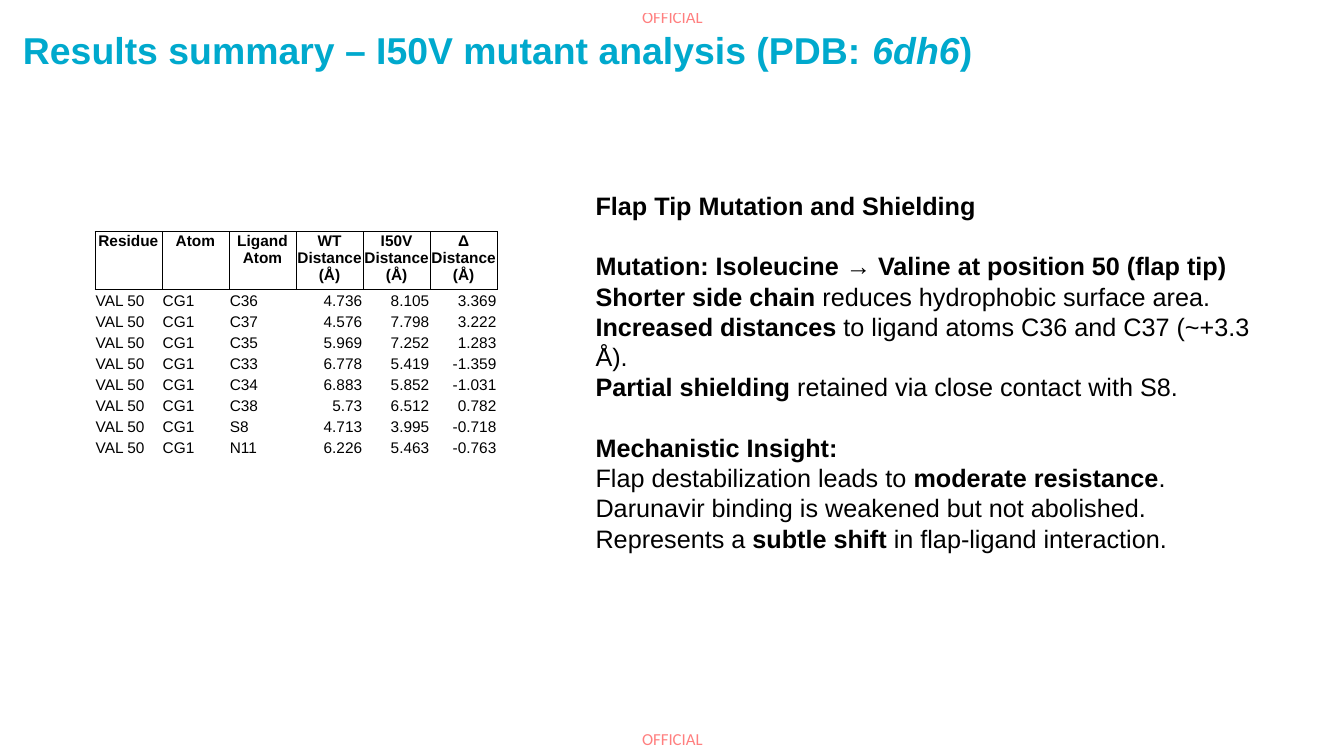
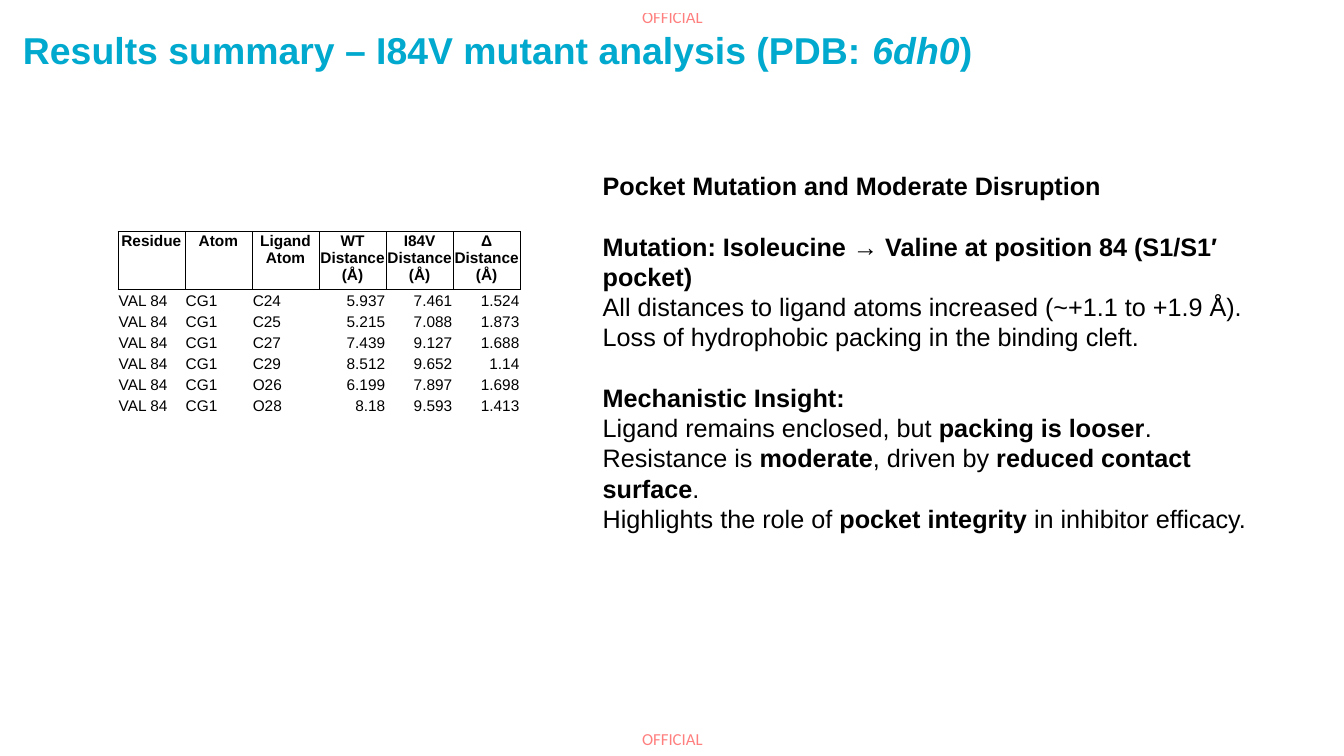
import pptx
import pptx.dml.color
import pptx.enum.text
import pptx.oxml
import pptx.oxml.ns
import pptx.util

Cm, Pt = pptx.util.Cm, pptx.util.Pt
RGBColor = pptx.dml.color.RGBColor
ALIGN = pptx.enum.text.PP_ALIGN
ANCHOR = pptx.enum.text.MSO_ANCHOR
AUTO_SIZE = pptx.enum.text.MSO_AUTO_SIZE

BLACK = RGBColor(0, 0, 0)
TEAL = RGBColor(0x00, 0xA9, 0xCD)
RED = RGBColor(0xFF, 0, 0)

TITLE_FONT = {"name": "Arial", "size": Pt(26.7), "bold": True}
BODY_FONT = {"name": "Arial", "size": Pt(18), "bold": False}
CELL_FONT = {"name": "Arial", "size": Pt(11), "bold": False}
HEAD_FONT = CELL_FONT | {"bold": True}
MARKING_FONT = {"name": "Calibri", "size": Pt(12)}

NO_INSETS = dict.fromkeys(
    ("margin_left", "margin_top", "margin_right", "margin_bottom"), 0)
CELL_INSETS = NO_INSETS | dict.fromkeys(
    ("margin_left", "margin_top", "margin_right"), Cm(0.02))
HEAD_CELL = CELL_INSETS | {"vertical_anchor": ANCHOR.TOP}
BODY_CELL = CELL_INSETS | {"vertical_anchor": ANCHOR.BOTTOM}

MARKING_TOPS = (0.18, 18.36)
TABLE_TOP = 5.84
COL_WIDTH, HEAD_HEIGHT, ROW_HEIGHT = 1.69, 1.44, 0.53
TEXT_COLS = 3
BLANK_LINE = Pt(21.6)

RESULTS = [
    {
        "mutant": "I50V", "pdb": "6dh6", "residue": "VAL 50",
        "table_left": 2.39, "text_at": (14.76, 4.67),
        "distances": [
            ("C36", "4.736", "8.105", "3.369"),
            ("C37", "4.576", "7.798", "3.222"),
            ("C35", "5.969", "7.252", "1.283"),
            ("C33", "6.778", "5.419", "-1.359"),
            ("C34", "6.883", "5.852", "-1.031"),
            ("C38", "5.73", "6.512", "0.782"),
            ("S8", "4.713", "3.995", "-0.718"),
            ("N11", "6.226", "5.463", "-0.763"),
        ],
        "sections": [
            ["*Flap Tip Mutation and Shielding*"],
            ["*Mutation: Isoleucine → Valine at position 50 (flap tip)*",
             "*Shorter side chain* reduces hydrophobic surface area.",
             "*Increased distances* to ligand atoms C36 and C37 (~+3.3 Å).",
             "*Partial shielding* retained via close contact with S8."],
            ["*Mechanistic Insight:*",
             "Flap destabilization leads to *moderate resistance*.",
             "Darunavir binding is weakened but not abolished.",
             "Represents a *subtle shift* in flap-ligand interaction."],
        ],
    },
    {
        "mutant": "I84V", "pdb": "6dh0", "residue": "VAL 84",
        "table_left": 2.97, "text_at": (14.94, 4.17),
        "distances": [
            ("C24", "5.937", "7.461", "1.524"),
            ("C25", "5.215", "7.088", "1.873"),
            ("C27", "7.439", "9.127", "1.688"),
            ("C29", "8.512", "9.652", "1.14"),
            ("O26", "6.199", "7.897", "1.698"),
            ("O28", "8.18", "9.593", "1.413"),
        ],
        "sections": [
            ["*Pocket Mutation and Moderate Disruption*"],
            ["*Mutation: Isoleucine → Valine at position 84 (S1/S1′ pocket)*",
             "All distances to ligand atoms increased (~+1.1 to +1.9 Å).",
             "Loss of hydrophobic packing in the binding cleft."],
            ["*Mechanistic Insight:*",
             "Ligand remains enclosed, but *packing is looser*.",
             "Resistance is *moderate*, driven by *reduced contact surface*.",
             "Highlights the role of *pocket integrity* in inhibitor efficacy."],
        ],
    },
]


def apply(obj, values):
    for name, value in values.items():
        setattr(obj, name, value)


def write(p, text, font, color=BLACK, emphasis="bold"):
    """Add text as runs; parts between asterisks get the emphasis."""
    for i, part in enumerate(text.split("*")):
        if part:
            r = p.add_run()
            r.text = part
            apply(r.font, font | ({emphasis: True} if i % 2 else {}))
            r.font.color.rgb = color


def add_text_box(s, left, top, width, height, **frame):
    sp = s.shapes.add_textbox(Cm(left), Cm(top), Cm(width), Cm(height))
    tf = sp.text_frame
    apply(tf, {"word_wrap": True} | frame)
    return tf


def add_marking(s, top):
    tf = add_text_box(s, 16.18, top, 1.63, 0.51, **NO_INSETS)
    apply(tf, {"word_wrap": False, "auto_size": AUTO_SIZE.SHAPE_TO_FIT_TEXT})
    p = tf.paragraphs[0]
    write(p, "OFFICIAL", MARKING_FONT, RED)
    for clr in p._p.iter(pptx.oxml.ns.qn("a:srgbClr")):
        clr.append(pptx.oxml.parse_xml(
            f'<a:alpha {pptx.oxml.ns.nsdecls("a")} val="50000"/>'))


def add_title(s, text):
    p = add_text_box(s, 0.58, 0.81, 25.12, 1.24, **NO_INSETS).paragraphs[0]
    p.line_spacing = 0.9
    write(p, text, TITLE_FONT, TEAL, "italic")


def add_findings(s, at, sections):
    tf = add_text_box(s, *at, 17.65, 9.5, auto_size=AUTO_SIZE.SHAPE_TO_FIT_TEXT)
    p = tf.paragraphs[0]
    for n, lines in enumerate(sections):
        for i, line in enumerate(lines):
            if n or i:
                p = tf.add_paragraph()
            if n and not i:
                p.space_before = BLANK_LINE
            write(p, line, BODY_FONT)


def set_borders(cell, ruled):
    """Draw thin lines on the ruled sides (from L, R, T, B), none elsewhere."""
    for side in "LRTB":
        fill = (f'<a:solidFill><a:srgbClr val="{BLACK}"/></a:solidFill>'
                if side in ruled else "<a:noFill/>")
        cell._tc.get_or_add_tcPr().append(pptx.oxml.parse_xml(
            f'<a:ln{side} {pptx.oxml.ns.nsdecls("a")} w="{Pt(0.5)}">'
            f"{fill}</a:ln{side}>"))


def fill_cell(cell, text, font, layout, align, ruled):
    apply(cell, layout)
    set_borders(cell, ruled)
    cell.fill.background()
    p = cell.text_frame.paragraphs[0]
    p.alignment = align
    write(p, text, font)


def add_distance_table(s, left, mutant, residue, distances):
    head = ("Residue", "Atom", "Ligand Atom", "WT Distance (Å)",
            f"{mutant} Distance (Å)", "Δ Distance (Å)")
    rows = [head] + [(residue, "CG1", *values) for values in distances]
    height = HEAD_HEIGHT + ROW_HEIGHT * len(distances)
    table = s.shapes.add_table(
        len(rows), len(head), Cm(left), Cm(TABLE_TOP),
        Cm(COL_WIDTH * len(head)), Cm(height)).table
    apply(table, {"first_row": False, "horz_banding": False})
    for col in table.columns:
        col.width = Cm(COL_WIDTH)
    for y, row in enumerate(rows):
        table.rows[y].height = Cm(ROW_HEIGHT if y else HEAD_HEIGHT)
        for x, text in enumerate(row):
            cell = table.cell(y, x)
            if y == 0:
                fill_cell(cell, text, HEAD_FONT, HEAD_CELL, ALIGN.CENTER, "LRTB")
            else:
                align = ALIGN.LEFT if x < TEXT_COLS else ALIGN.RIGHT
                fill_cell(cell, text, CELL_FONT, BODY_CELL, align,
                          "T" if y == 1 else "")


def add_result_slide(prs, result):
    s = prs.slides.add_slide(prs.slide_layouts[6])
    for top in MARKING_TOPS:
        add_marking(s, top)
    add_findings(s, result["text_at"], result["sections"])
    add_title(s, f"Results summary – {result['mutant']} mutant analysis "
                 f"(PDB: *{result['pdb']}*)")
    add_distance_table(s, result["table_left"], result["mutant"],
                       result["residue"], result["distances"])


def main():
    prs = pptx.Presentation()
    apply(prs, {"slide_width": Cm(33.87), "slide_height": Cm(19.05)})
    for result in RESULTS:
        add_result_slide(prs, result)
    prs.save("out.pptx")


if __name__ == "__main__":
    main()
